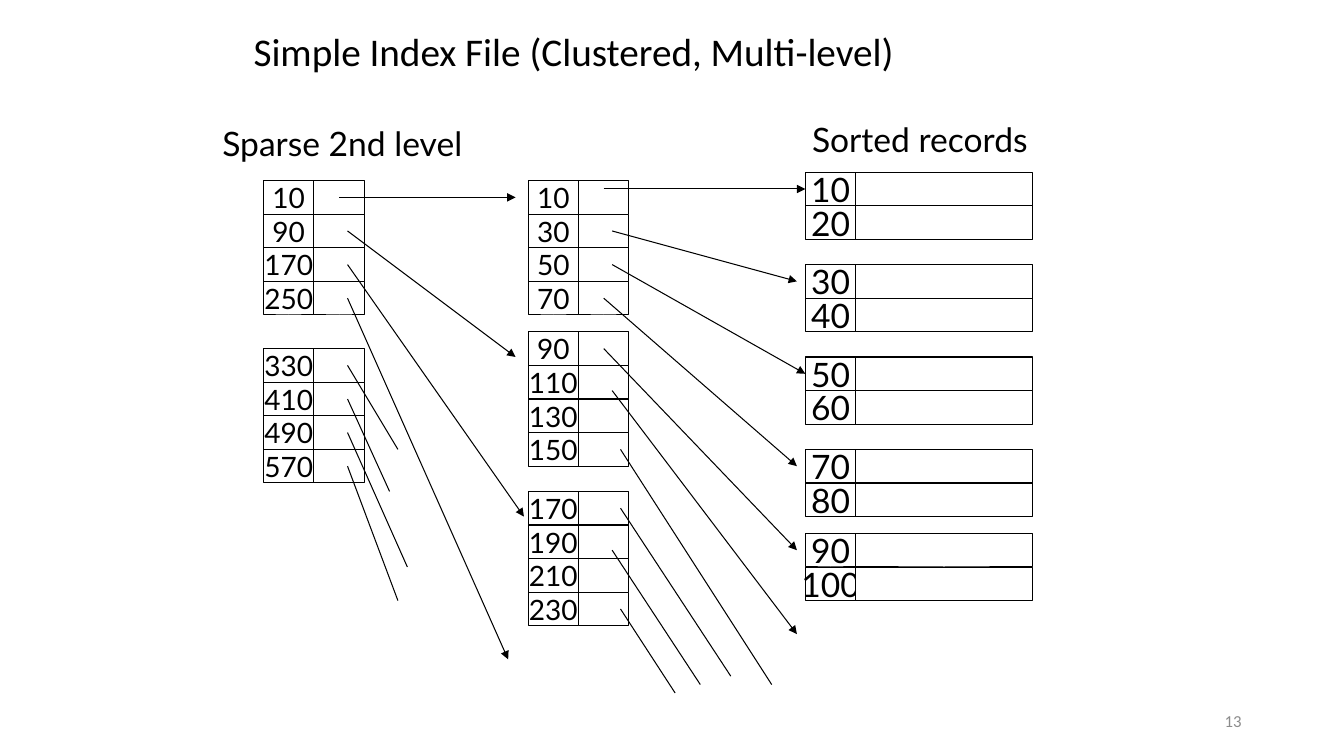
from pptx import Presentation
from pptx import util as u
from pptx.dml.color import RGBColor
from pptx.enum import shapes, text
from pptx.oxml import parse_xml
from pptx.oxml.ns import nsdecls

# text, box (left, top, width, height), font, size, colour, alignment, wrap
CAPTIONS = [
    ("Simple Index File (Clustered, Multi-level)", (232, 16, 752, 64), "Calibri", 28, "000000", "LEFT", True),
    ("Sparse 2nd level", (200, 112, 252, 48), "Lato", 24, "000000", "CENTER", False),
    ("Sorted records", (763, 108, 226, 48), "Lato", 24, "000000", "CENTER", False),
    ("13", (904, 667, 288, 38), "Calibri", 12, "8C8C8C", "RIGHT", True),
]

# left, width of the second cell, font size, {block top: keys}
SECOND_LEVEL = (251, 48, 20, {172: (10, 90, 170, 250), 332: (330, 410, 490, 570)})
FIRST_LEVEL = (503, 48, 20, {172: (10, 30, 50, 70), 316: (90, 110, 130, 150),
                             468: (170, 190, 210, 230)})
RECORDS = (767, 168, 24, {164: (10, 20), 252: (30, 40), 340: (50, 60),
                          428: (70, 80), 508: (90, 100)})

# key: start offset from the cell's left and from the row's middle, then the
# end point, or the key of the record that the pointer touches
SECOND_LEVEL_POINTERS = {
    10: (24, 0, (491, 188)), 90: (32, 0, (491, 340)),
    170: (32, 0, (499, 492)), 250: (32, 0, (484, 628)),
    330: (32, 0, (379, 428)), 410: (32, 0, (371, 468)),
    490: (32, 0, (388, 540)), 570: (32, 0, (379, 572)),
}
FIRST_LEVEL_POINTERS = {
    10: (24, -8, 10), 30: (32, 0, (759, 268)),
    50: (32, 0, 50), 70: (24, 0, (759, 444)),
    90: (24, 0, (759, 524)), 110: (32, 8, (759, 604)),
    150: (40, 0, (735, 652)), 170: (40, 0, (696, 644)),
    190: (32, 8, (667, 652)), 230: (40, 0, (643, 660)),
}
SECOND_LEVEL_ARROWS = {10, 90, 170, 250}
FIRST_LEVEL_ARROWS = {10, 30, 50, 70, 90, 110}

KEY_WIDTH, ROW_HEIGHT = 48, 32
PX = u.Inches(1) // 96


def px(*lengths):
    return [round(length * PX) for length in lengths]


def rgb(colour):
    return RGBColor.from_string(colour)


def write(frame, words, font, size, colour, align, wrap):
    frame.text = words
    frame.word_wrap = wrap
    frame.vertical_anchor = text.MSO_ANCHOR.MIDDLE
    line = frame.paragraphs[0]
    line.alignment = text.PP_ALIGN[align]
    style = line.runs[0].font
    style.name, style.size, style.color.rgb = font, u.Pt(size), rgb(colour)


def add_cell(block, *box):
    cell = block.shapes.add_shape(shapes.MSO_SHAPE.RECTANGLE, *px(*box))
    cell.shadow.inherit = False
    cell.fill.solid()
    cell.fill.fore_color.rgb = rgb("FFFFFF")
    cell.line.color.rgb = rgb("000000")
    cell.line.width = u.Pt(0.75)
    return cell


def add_column(slide, left, width, size, blocks):
    """Draw the blocks of one column; return {key: (key cell, second cell)}."""
    rows = {}
    for top, keys in blocks.items():
        block = slide.shapes.add_group_shape()
        for i, key in enumerate(keys):
            y = top + i * ROW_HEIGHT
            key_cell = add_cell(block, left, y, KEY_WIDTH, ROW_HEIGHT)
            write(key_cell.text_frame, str(key), "Lato", size, "000000", "CENTER", False)
            rows[key] = key_cell, add_cell(block, left + KEY_WIDTH, y, width, ROW_HEIGHT)
    return rows


def add_pointers(slide, rows, pointers, arrows, records):
    for key, (dx, dy, target) in pointers.items():
        cell = rows[key][1]
        start = cell.left + dx * PX, cell.top + cell.height // 2 + dy * PX
        end = px(*target) if isinstance(target, tuple) else start
        pointer = slide.shapes.add_connector(shapes.MSO_CONNECTOR.STRAIGHT, *start, *end)
        if target in records:
            pointer.end_connect(records[target][0], 1)
        pointer.line.color.rgb = rgb("000000")
        pointer.line.width = u.Pt(0.75)
        if key in arrows:
            pointer.line._get_or_add_ln().append(
                parse_xml(f'<a:tailEnd {nsdecls("a")} type="triangle"/>'))
        pointer._element.spPr.append(parse_xml(f'<a:effectLst {nsdecls("a")}/>'))


def main():
    deck = Presentation()
    deck.slide_width, deck.slide_height = px(1280, 720)
    slide = deck.slides.add_slide(deck.slide_layouts[6])

    for words, box, *style in CAPTIONS:
        caption = slide.shapes.add_textbox(*px(*box))
        write(caption.text_frame, words, *style)

    records = add_column(slide, *RECORDS)
    first_level = add_column(slide, *FIRST_LEVEL)
    second_level = add_column(slide, *SECOND_LEVEL)
    add_pointers(slide, first_level, FIRST_LEVEL_POINTERS, FIRST_LEVEL_ARROWS, records)
    add_pointers(slide, second_level, SECOND_LEVEL_POINTERS, SECOND_LEVEL_ARROWS, records)
    deck.save("out.pptx")


if __name__ == "__main__":
    main()
